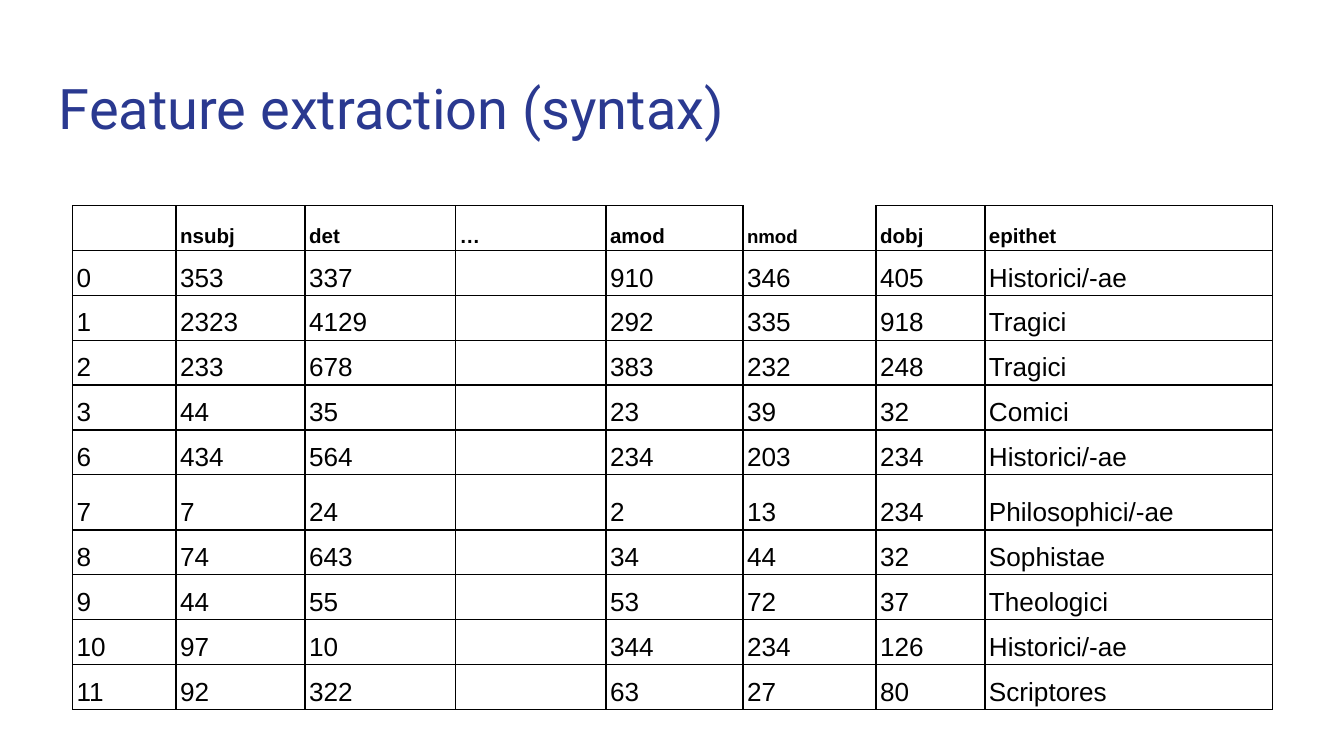
from lxml.etree import SubElement
from pptx import Presentation
from pptx.dml.color import RGBColor
from pptx.enum.text import MSO_ANCHOR
from pptx.oxml.ns import qn
from pptx.util import Inches, Pt

HEADING = "Feature extraction (syntax)"
FEATURES = ["", "nsubj", "det", "…", "amod", "nmod", "dobj", "epithet"]
AUTHORS = [
    (0, 353, 337, "", 910, 346, 405, "Historici/-ae"),
    (1, 2323, 4129, "", 292, 335, 918, "Tragici"),
    (2, 233, 678, "", 383, 232, 248, "Tragici"),
    (3, 44, 35, "", 23, 39, 32, "Comici"),
    (6, 434, 564, "", 234, 203, 234, "Historici/-ae"),
    (7, 7, 24, "", 2, 13, 234, "Philosophici/-ae"),
    (8, 74, 643, "", 34, 44, 32, "Sophistae"),
    (9, 44, 55, "", 53, 72, 37, "Theologici"),
    (10, 97, 10, "", 344, 234, 126, "Historici/-ae"),
    (11, 92, 322, "", 63, 27, 80, "Scriptores"),
]
COLUMN_WIDTHS = [0.77, 0.96, 1.12, 1.12, 1.02, 0.99, 0.81, 2.14]
ROW_HEIGHT = 0.23
SPECIAL_HEIGHTS = {0: 0.27, 6: 0.41}
BLACK, WHITE, BLUE = "000000", "FFFFFF", "2A3990"
CELL_FORMAT = {
    "vertical_anchor": MSO_ANCHOR.BOTTOM,
    "margin_left": Inches(0.03),
    "margin_right": Inches(0.03),
    "margin_top": Inches(0.02),
    "margin_bottom": Inches(0.02),
}
TITLE_FORMAT = {
    "word_wrap": True,
    "vertical_anchor": MSO_ANCHOR.TOP,
    "margin_left": Inches(0.1),
    "margin_right": Inches(0.1),
    "margin_top": Inches(0.1),
    "margin_bottom": Inches(0.1),
}
TITLE_FONT = {"name": "Roboto", "size": Pt(30)}
BODY_FONT = {"name": "Arial", "size": Pt(14), "bold": False}
HEADER_FONT = {"name": "Arial", "size": Pt(11), "bold": True}
NMOD_FONT = {**HEADER_FONT, "size": Pt(10)}


def apply(target, settings):
    for name, value in settings.items():
        setattr(target, name, value)


def paint(color, value):
    color.rgb = RGBColor.from_string(value)


def write(paragraph, words, font, color):
    run = paragraph.add_run()
    run.text = words
    apply(run.font, font)
    paint(run.font.color, color)


def add_borders(cell, open_top):
    properties = cell._tc.get_or_add_tcPr()
    for side in "LRTB":
        line = SubElement(properties, qn(f"a:ln{side}"), w=str(Pt(0.75)))
        if side == "T" and open_top:
            SubElement(line, qn("a:noFill"))
        else:
            fill = SubElement(line, qn("a:solidFill"))
            SubElement(fill, qn("a:srgbClr"), val=BLACK)


def fill_cell(cell, words, font, is_open):
    add_borders(cell, is_open)
    if is_open:
        cell.fill.background()
    else:
        cell.fill.solid()
        paint(cell.fill.fore_color, WHITE)
    paragraph = cell.text_frame.paragraphs[0]
    if words:
        apply(cell, CELL_FORMAT)
        paragraph.line_spacing = 1.15
        write(paragraph, words, font, BLACK)
    else:
        ending = paragraph._p.get_or_add_endParaRPr()
        ending.set("sz", "1400")
        SubElement(ending, qn("a:latin"), typeface="Arial")


def add_title(slide):
    box = slide.shapes.add_textbox(Inches(0.34), Inches(0.45), Inches(9.32), Inches(0.66))
    apply(box.text_frame, TITLE_FORMAT)
    write(box.text_frame.paragraphs[0], HEADING, TITLE_FONT, BLUE)


def add_feature_table(slide):
    rows = [FEATURES, *AUTHORS]
    heights = [SPECIAL_HEIGHTS.get(r, ROW_HEIGHT) for r in range(len(rows))]
    table = slide.shapes.add_table(
        len(rows), len(FEATURES), Inches(0.54), Inches(1.53),
        Inches(sum(COLUMN_WIDTHS)), Inches(sum(heights)),
    ).table
    apply(table, {"first_row": False, "horz_banding": False})
    for column, width in zip(table.columns, COLUMN_WIDTHS):
        column.width = Inches(width)
    for r, (values, height) in enumerate(zip(rows, heights)):
        table.rows[r].height = Inches(height)
        for c, value in enumerate(values):
            is_nmod_header = r == 0 and FEATURES[c] == "nmod"
            font = NMOD_FONT if is_nmod_header else HEADER_FONT if r == 0 else BODY_FONT
            fill_cell(table.cell(r, c), str(value), font, is_nmod_header)


def main():
    deck = Presentation()
    apply(deck, {"slide_width": Inches(10), "slide_height": Inches(10) * 9 // 16})
    slide = deck.slides.add_slide(deck.slide_layouts[6])
    add_title(slide)
    add_feature_table(slide)
    deck.save("out.pptx")


if __name__ == "__main__":
    main()
